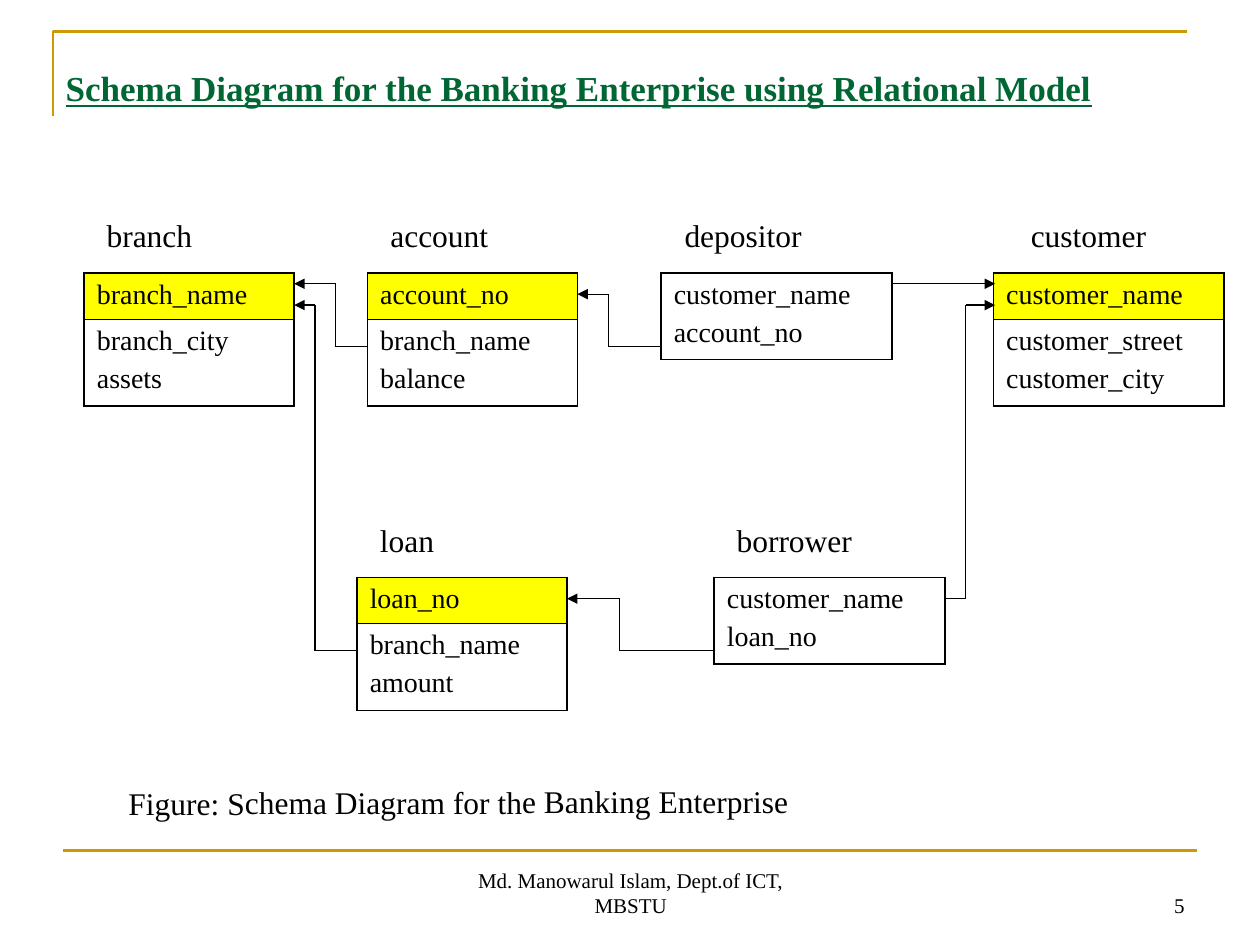
"""Build the banking enterprise schema diagram slide."""
from lxml import etree
from pptx import Presentation
from pptx import util as u
from pptx.dml.color import RGBColor
from pptx.enum import shapes, text
from pptx.oxml import parse_xml
from pptx.oxml.ns import nsdecls, qn


def paint(color_format, value):
    """Give a fill or a line a solid colour from a hex string."""
    fill = getattr(color_format, "fill", color_format)
    fill.solid()
    fill.fore_color.rgb = RGBColor.from_string(value)


def write(frame, lines, alignment=text.PP_ALIGN.LEFT, color="000000", **formats):
    """Write lines into a text frame, spacing all but the first."""
    frame.word_wrap = True
    for index, line in enumerate(lines):
        paragraph = frame.paragraphs[0] if index == 0 else frame.add_paragraph()
        paragraph.text = line
        paragraph.alignment = alignment
        paragraph.space_before = u.Pt(4 if index else 0)
        paint(paragraph.font.fill, color)
        for name, value in {"name": "Times New Roman", **formats}.items():
            setattr(paragraph.font, name, value)


GOLD, BLACK, YELLOW = "CC9900", "000000", "FFFF00"
TOP_ROW, BOTTOM_ROW = 5.5, 11.64
KEY_HEIGHT, FIELDS_HEIGHT = 0.93, 1.75

presentation = Presentation()
presentation.slide_width, presentation.slide_height = u.Cm(25.4), u.Cm(19.05)
slide = presentation.slides.add_slide(presentation.slide_layouts[5])

title = slide.shapes.title
placement = {"left": 1.07, "top": 1.22, "width": 23.28, "height": 1.12}
for name, value in placement.items():
    setattr(title, name, u.Cm(value))
title.text_frame.vertical_anchor = text.MSO_ANCHOR.TOP
title.text_frame.auto_size = text.MSO_AUTO_SIZE.NONE
write(title.text_frame,
      ["Schema Diagram for the Banking Enterprise using Relational Model"],
      color="006633", size=u.Pt(20), bold=True, underline=True)

builder = slide.shapes.build_freeform(u.Cm(1.07), u.Cm(2.34))
builder.add_line_segments(
    [(u.Cm(1.07), u.Cm(0.64)), (u.Cm(23.93), u.Cm(0.64))], close=False)
corner = builder.convert_to_shape()
corner.shadow.inherit = False
corner.fill.background()
paint(corner.line, GOLD)
corner.line.width = u.Pt(1.5)

relations = [
    ("branch", 1.7, 1.9, TOP_ROW, 4.23, ["branch_name"], ["branch_city", "assets"]),
    ("account", 7.41, 7.62, TOP_ROW, 4.23, ["account_no"], ["branch_name", "balance"]),
    ("depositor", 13.33, 13.55, TOP_ROW, 4.65, [], ["customer_name", "account_no"]),
    ("customer", 20.03, 20.53, TOP_ROW, 4.65, ["customer_name"],
     ["customer_street", "customer_city"]),
    ("loan", 7.2, 7.41, BOTTOM_ROW, 4.23, ["loan_no"], ["branch_name", "amount"]),
    ("borrower", 14.4, 14.6, BOTTOM_ROW, 4.65, [], ["customer_name", "loan_no"]),
]
labels = []
for relation, left, label_left, top, width, key, fields in relations:
    labels.append((relation, label_left, top - 1.27, 3.6, 1.02, 18, "LEFT", "TOP", 0))
    sections = [section for section in (key, fields) if section]
    heights = [KEY_HEIGHT, FIELDS_HEIGHT][-len(sections):]
    table = slide.shapes.add_table(
        len(sections), 1, u.Cm(left), u.Cm(top), u.Cm(width), u.Cm(sum(heights))).table
    table.first_row = table.horz_banding = False
    for row, (section, height) in enumerate(zip(sections, heights)):
        table.rows[row].height = u.Cm(height)
        cell = table.cell(row, 0)
        write(cell.text_frame, section, size=u.Pt(16))
        inner_side = {0: "B", 1: "T"}[row] if key else None
        for side in "LRTB":
            points = 0.45 if side == inner_side else 1.08
            cell._tc.get_or_add_tcPr().append(parse_xml(
                f'<a:ln{side} {nsdecls("a")} w="{u.Pt(points)}"><a:solidFill>'
                f'<a:srgbClr val="{BLACK}"/></a:solidFill></a:ln{side}>'))
        if section is key:
            paint(cell.fill, YELLOW)
        else:
            cell.fill.background()

text_boxes = labels + [
    ("Figure: Schema Diagram for the Banking Enterprise",
     2.34, 15.65, 16.71, 1.02, 18, "LEFT", "TOP", -0.2),
    ("Md. Manowarul Islam, Dept.of ICT, MBSTU",
     8.69, 17.35, 8.05, 1.27, 12, "CENTER", "BOTTOM", 0),
    ("5", 18.21, 17.35, 5.92, 1.27, 12, "RIGHT", "BOTTOM", 0),
]
for words, left, top, width, height, size, alignment, anchor, rotation in text_boxes:
    box = slide.shapes.add_textbox(u.Cm(left), u.Cm(top), u.Cm(width), u.Cm(height))
    box.rotation = rotation
    box.text_frame.vertical_anchor = text.MSO_ANCHOR[anchor]
    write(box.text_frame, [words], text.PP_ALIGN[alignment], size=u.Pt(size))

routes = [
    ([(1.27, 17.15), (24.13, 17.15)], GOLD, 1.5, False),
    ([(7.41, 6.99), (6.77, 6.99), (6.77, 5.72), (5.93, 5.72)], BLACK, 0.75, True),
    ([(7.2, 13.12), (6.35, 13.12), (6.35, 6.15), (5.93, 6.15)], BLACK, 0.75, True),
    ([(13.33, 6.99), (12.27, 6.99), (12.27, 5.93), (11.64, 5.93)], BLACK, 0.75, True),
    ([(14.4, 13.12), (12.49, 13.12), (12.49, 12.07), (11.43, 12.07)], BLACK, 0.75, True),
    ([(19.05, 12.07), (19.47, 12.07), (19.47, 6.15), (20.06, 6.15)], BLACK, 0.75, True),
    ([(17.96, 5.72), (20.06, 5.72)], BLACK, 0.75, True),
]
for points, color, weight, has_arrow in routes:
    for start, end in zip(points, points[1:]):
        connector = slide.shapes.add_connector(
            shapes.MSO_CONNECTOR.STRAIGHT, *map(u.Cm, start + end))
        paint(connector.line, color)
        connector.line.width = u.Pt(weight)
        etree.SubElement(connector._element.spPr, qn("a:effectLst"))
        if has_arrow and end == points[-1]:
            etree.SubElement(connector.line._get_or_add_ln(), qn("a:tailEnd"),
                             type="triangle")

presentation.save("out.pptx")
